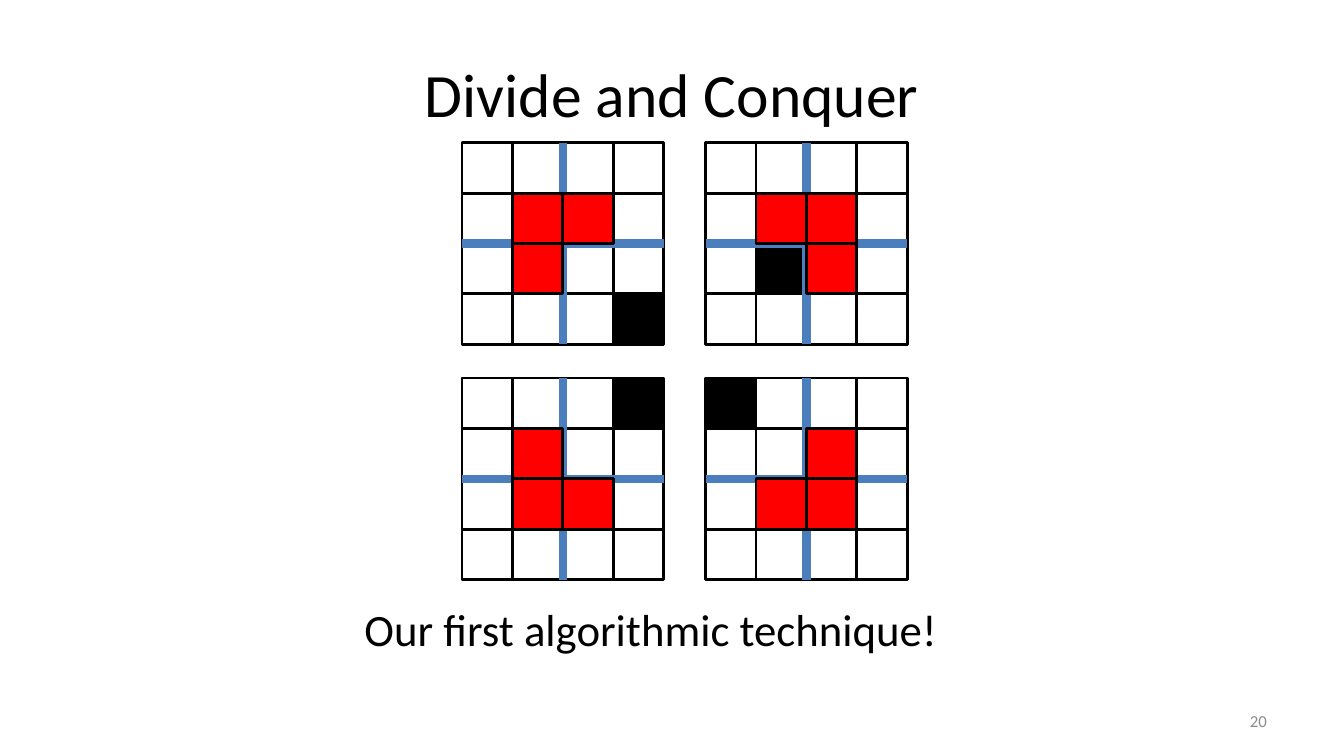
from dataclasses import dataclass
from itertools import product

from lxml.etree import SubElement
from pptx import Presentation
from pptx.dml.color import RGBColor
from pptx.enum.shapes import MSO_CONNECTOR, MSO_SHAPE
from pptx.enum.text import MSO_ANCHOR, MSO_AUTO_SIZE, PP_ALIGN
from pptx.oxml.ns import qn
from pptx.shapes.group import GroupShape
from pptx.slide import Slide
from pptx.text.text import TextFrame
from pptx.util import Inches, Pt

UNIT = Inches(1 / 12)  # the slide is a grid of 160 columns by 90 rows
SIDE = 4  # cells along a board's side
CELL = 6  # grid units along a cell's side
BLACK, RED, BLUE, GREY = "000000", "FF0000", "4B7EBC", "8C8C8C"

Place = tuple[int, int]  # row and column of a cell


@dataclass(frozen=True)
class Board:
    left: int
    top: int
    hole: Place
    gap: Place  # the middle cell that the tromino leaves free

    def tile(self) -> list[Place]:
        return [place for place in product((1, 2), repeat=2) if place != self.gap]


BOARDS = [
    Board(55, 17, hole=(3, 3), gap=(2, 2)),
    Board(84, 17, hole=(2, 1), gap=(2, 1)),
    Board(55, 45, hole=(0, 3), gap=(1, 2)),
    Board(84, 45, hole=(0, 0), gap=(1, 1)),
]


def grid(*units: float) -> list[int]:
    return [round(unit * UNIT) for unit in units]


def color(code: str) -> RGBColor:
    return RGBColor.from_string(code)


def style(frame: TextFrame, text: str, size: int, code: str, align: PP_ALIGN) -> None:
    frame.text = text
    frame.word_wrap = True
    para = frame.paragraphs[0]
    para.alignment = align
    para.font.name = "Calibri"
    para.font.size = Pt(size)
    para.font.color.rgb = color(code)


def draw_cell(group: GroupShape, board: Board, place: Place, code: str | None) -> None:
    row, col = place
    box = grid(board.left + col * CELL, board.top + row * CELL, CELL, CELL)
    cell = group.shapes.add_shape(MSO_SHAPE.RECTANGLE, *box)
    cell.shadow.inherit = False
    cell.line.color.rgb = color(BLACK)
    cell.line.width = Pt(2)
    if code:
        cell.fill.solid()
        cell.fill.fore_color.rgb = color(code)
    else:
        cell.fill.background()


def draw_cells(slide: Slide, board: Board) -> None:
    """Draw every cell that the tromino leaves free."""
    group = slide.shapes.add_group_shape()
    for place in product(range(SIDE), repeat=2):
        if place not in board.tile():
            draw_cell(group, board, place, BLACK if place == board.hole else None)


def draw_line(slide: Slide, *ends: float) -> None:
    line = slide.shapes.add_connector(MSO_CONNECTOR.STRAIGHT, *grid(*ends))
    line.line.color.rgb = color(BLUE)
    line.line.width = Pt(6)
    SubElement(line._element.spPr, qn("a:effectLst"))


def draw_cross(slide: Slide, board: Board) -> None:
    """Split the board into its four quarters."""
    span = SIDE * CELL
    mid_x, mid_y = board.left + span / 2, board.top + span / 2
    draw_line(slide, mid_x, board.top, mid_x, board.top + span)
    draw_line(slide, board.left + span, mid_y, board.left, mid_y)


def draw_tile(slide: Slide, board: Board) -> None:
    group = slide.shapes.add_group_shape()
    for place in board.tile():
        draw_cell(group, board, place, RED)


def main() -> None:
    deck = Presentation()
    deck.slide_width, deck.slide_height = grid(160, 90)
    slide = deck.slides.add_slide(deck.slide_layouts[5])

    title = slide.shapes.title
    title.left, title.top, title.width, title.height = grid(8, 3.6, 144, 15)
    style(title.text_frame, "Divide and Conquer", 44, BLACK, PP_ALIGN.CENTER)
    title.text_frame.vertical_anchor = MSO_ANCHOR.MIDDLE

    for board in BOARDS:
        draw_cells(slide, board)

    note = slide.shapes.add_textbox(*grid(42.2, 71, 84.1, 7.7)).text_frame
    style(note, "Our first algorithmic technique!", 32, BLACK, PP_ALIGN.LEFT)
    note.auto_size = MSO_AUTO_SIZE.SHAPE_TO_FIT_TEXT

    for board in BOARDS:
        draw_cross(slide, board)
    for board in BOARDS:
        draw_tile(slide, board)

    number = slide.shapes.add_textbox(*grid(114.7, 83.4, 37.3, 4.8)).text_frame
    style(number, "20", 12, GREY, PP_ALIGN.RIGHT)
    number.vertical_anchor = MSO_ANCHOR.MIDDLE

    deck.save("out.pptx")


if __name__ == "__main__":
    main()
